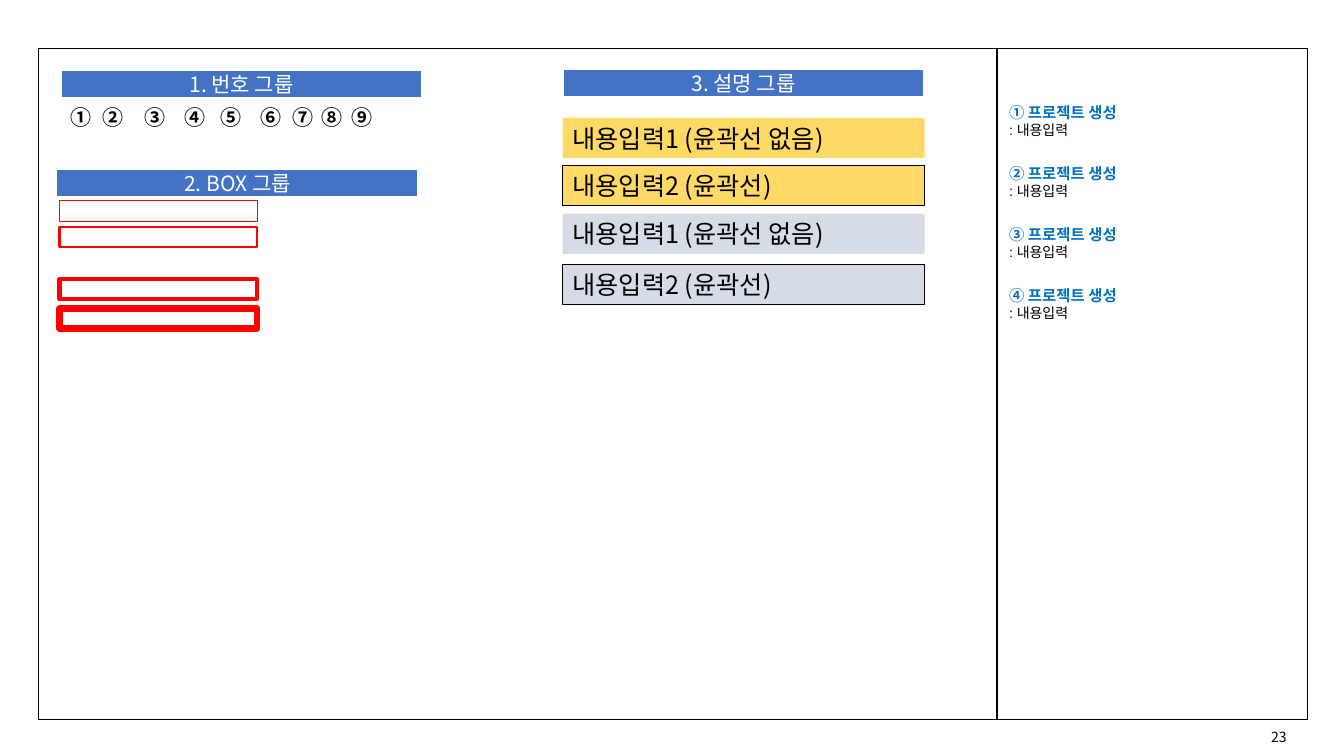
import dataclasses

import pptx
import pptx.dml.color
import pptx.enum.shapes
import pptx.enum.text
import pptx.oxml
import pptx.oxml.ns
import pptx.util

Inches = pptx.util.Inches
Anchor = pptx.enum.text.MSO_ANCHOR
Align = pptx.enum.text.PP_ALIGN


@dataclasses.dataclass(frozen=True)
class Theme:
    """Colours, fonts and type sizes of the slide."""
    black: str = "000000"
    white: str = "FFFFFF"
    blue: str = "4472C4"
    link: str = "0070C0"
    red: str = "FF0000"
    gold: str = "FFD966"
    gray: str = "D6DCE5"
    sans: str = "Noto Sans CJK KR"
    arial: str = "Arial"
    small: int = 10
    note: int = 11
    head: int = 15
    body: int = 18


THEME = Theme()


def color(code):
    """Turn a hex code into a colour."""
    return pptx.dml.color.RGBColor.from_string(code)


def write(para, text, size=THEME.body, ink=THEME.black, font=THEME.sans,
          bold=False, align=Align.LEFT):
    """Add one formatted run of text to a paragraph."""
    para.alignment = align
    run = para.add_run()
    run.text = text
    run.font.size = pptx.util.Pt(size)
    run.font.bold = bold
    run.font.name = font
    run.font.color.rgb = color(ink)
    if font == THEME.sans:
        east = pptx.oxml.parse_xml(
            f'<a:ea {pptx.oxml.ns.nsdecls("a")} typeface="{font}"/>')
        run.font.fill
        run.font._element.find(pptx.oxml.ns.qn("a:latin")).addnext(east)


def rect(slide, box, fill=None, line=None, width=1):
    """Draw a rectangle with an optional fill and outline."""
    shape = slide.shapes.add_shape(
        pptx.enum.shapes.MSO_SHAPE.RECTANGLE, *map(Inches, box))
    shape.shadow.inherit = False
    if fill:
        shape.fill.solid()
        shape.fill.fore_color.rgb = color(fill)
    else:
        shape.fill.background()
    if line:
        shape.line.color.rgb = color(line)
        shape.line.width = pptx.util.Pt(width)
    else:
        shape.line.fill.background()
    return shape


def label(slide, box, wrap=False, anchor=Anchor.MIDDLE):
    """Add an empty text box and return its frame."""
    frame = slide.shapes.add_textbox(*map(Inches, box)).text_frame
    frame.word_wrap = wrap
    frame.vertical_anchor = anchor
    return frame


def title(slide, box, text):
    """Draw the blue heading bar of a group."""
    frame = rect(slide, box, THEME.blue, THEME.white, 1.5).text_frame
    frame.vertical_anchor = Anchor.MIDDLE
    write(frame.paragraphs[0], text, size=THEME.head, ink=THEME.white,
          align=Align.CENTER)


def frames(slide, box):
    """Draw the main panel, the side panel and the page number."""
    left, top, width, height = box
    side = 3.08
    main = width - side
    rect(slide, (left + main, top, side, height), line=THEME.black)
    rect(slide, (left, top, main, height), line=THEME.black)
    page = label(slide, (left + width - 0.46, top + height + 0.04, 0.38, 0.27))
    write(page.paragraphs[0], "23", size=THEME.small)


def marks(slide, box):
    """Place the group of circled numbers."""
    left, top, width, height = box
    title(slide, (left, top, width, 0.28), "1. 번호 그룹")
    steps = (0, 0.32, 0.73, 1.13, 1.49, 1.89, 2.2, 2.49, 2.79)
    for sign, step in zip("①②③④⑤⑥⑦⑧⑨", steps):
        frame = label(slide, (left + step, top + 0.3, 0.41, 0.35))
        write(frame.paragraphs[0], sign, size=THEME.head, bold=True)


def boxes(slide, box):
    """Place the group of red outlines of growing weight."""
    left, top, width, height = box
    title(slide, (left, top, width, 0.28), "2. BOX 그룹")
    for drop, weight in ((0.31, 0.25), (0.57, 1.5), (1.09, 3), (1.38, 4.5)):
        rect(slide, (left + 0.03, top + drop, 1.96, 0.2),
             line=THEME.red, width=weight)


def bars(slide, box):
    """Place the group of filled description bars."""
    left, top, width, height = box
    title(slide, (left, top, width, 0.28), "3. 설명 그룹")
    plain = ("내용입력1 (윤곽선 없음)", None)
    lined = ("내용입력2 (윤곽선)", THEME.black)
    rows = ((0.49, THEME.gold, plain), (0.96, THEME.gold, lined),
            (1.44, THEME.gray, plain), (1.94, THEME.gray, lined))
    for drop, fill, (text, line) in rows:
        shape = rect(slide, (left, top + drop, width, 0.4), fill, line, 0.75)
        shape.text_frame.vertical_anchor = Anchor.MIDDLE
        write(shape.text_frame.paragraphs[0], text)


def notes(slide, box):
    """Place the numbered remarks of the side panel."""
    left, top, width, height = box
    for row, sign in enumerate("①②③④"):
        frame = label(slide, (left, top + row * height / 4, width, 0.62),
                      wrap=True, anchor=Anchor.TOP)
        write(frame.paragraphs[0], f"{sign} 프로젝트 생성", size=THEME.note,
              ink=THEME.link, font=THEME.arial, bold=True)
        write(frame.add_paragraph(), ": 내용입력", size=THEME.small,
              font=THEME.arial)


def main():
    """Build and save the slide."""
    deck = pptx.Presentation()
    deck.slide_width = Inches(13.33)
    deck.slide_height = Inches(7.5)
    slide = deck.slides.add_slide(deck.slide_layouts[6])
    frames(slide, (0.38, 0.48, 12.59, 6.66))
    marks(slide, (0.6, 0.69, 3.59, 0.66))
    boxes(slide, (0.56, 1.68, 3.59, 1.58))
    bars(slide, (5.58, 0.68, 3.59, 2.34))
    notes(slide, (9.91, 0.97, 3.06, 2.42))
    deck.save("out.pptx")


if __name__ == "__main__":
    main()
